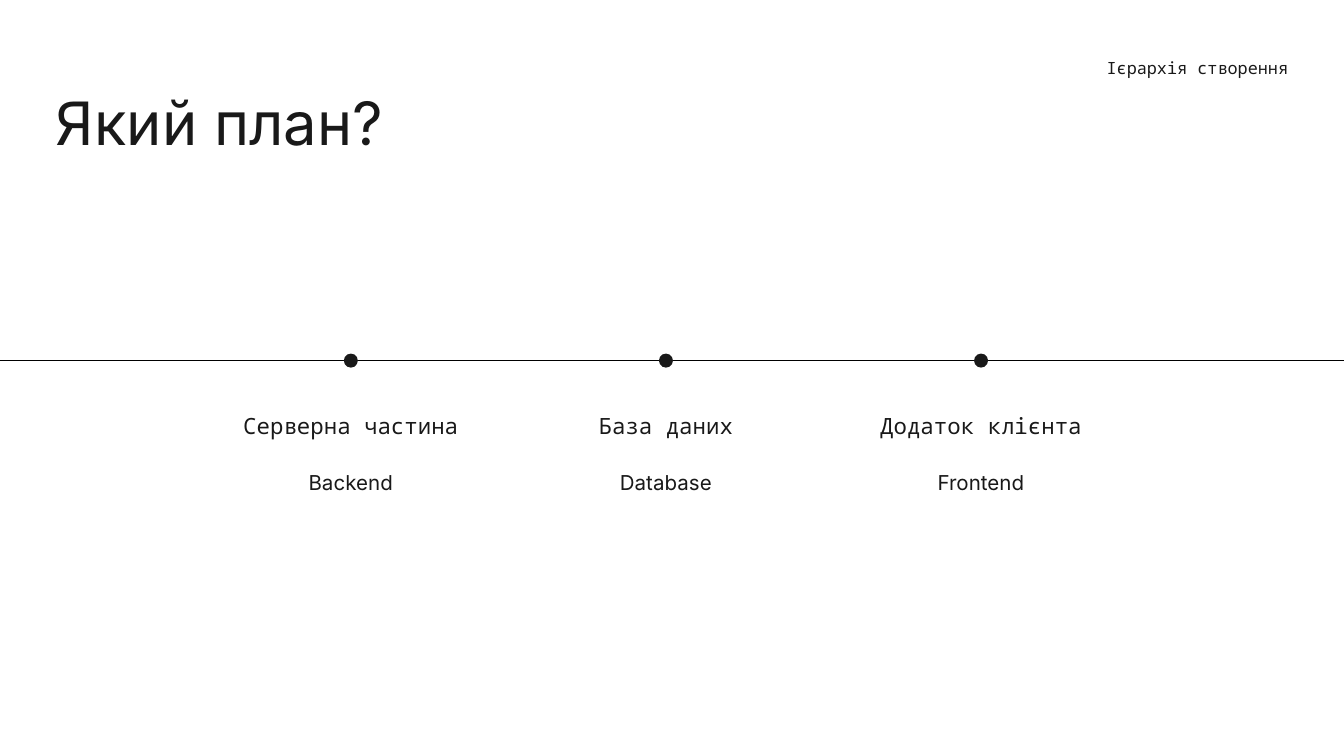
import pptx
import pptx.util
import pptx.dml.color
import pptx.enum.shapes
import pptx.enum.text
import pptx.oxml

Pt = pptx.util.Pt
Align = pptx.enum.text.PP_ALIGN
COLORS = {"ink": "191919", "line": "000000", "back": "FFFFFF"}
SANS, MONO = "Inter", "Noto Sans Mono"
STAGES = [
    ("Серверна частина", "Backend"),
    ("База даних", "Database"),
    ("Додаток клієнта", "Frontend"),
]


def color(name):
    return pptx.dml.color.RGBColor.from_string(COLORS[name])


def write(slide, text, box, size, font=SANS, align=Align.LEFT, space=1.0):
    """Place one line of text in box (left, top, width, height)."""
    frame = slide.shapes.add_textbox(*map(Pt, box)).text_frame
    frame.word_wrap = True
    frame.auto_size = pptx.enum.text.MSO_AUTO_SIZE.SHAPE_TO_FIT_TEXT
    frame.margin_left = frame.margin_right = 0
    frame.margin_top = frame.margin_bottom = 0
    para = frame.paragraphs[0]
    para.alignment = align
    para.line_spacing = space
    run = para.add_run()
    run.text = text
    run.font.size = Pt(size)
    run.font.name = font
    run.font.color.rgb = color("ink")


def header(slide, left, top, width):
    write(slide, "Який план?", (left, top + 15, 209, 39), 32)
    write(slide, "Ієрархія створення", (left + width - 98, top, 98, 11), 9,
          font=MONO, align=Align.RIGHT)


def axis(slide, left, top, width):
    line = slide.shapes.add_connector(
        pptx.enum.shapes.MSO_CONNECTOR.STRAIGHT,
        Pt(left), Pt(top), Pt(left + width), Pt(top))
    line.line.color.rgb = color("line")
    line.line.width = Pt(0.75)
    props = line._element.spPr
    props.append(pptx.oxml.parse_xml(
        '<a:effectLst xmlns:a='
        '"http://schemas.openxmlformats.org/drawingml/2006/main"/>'))


def stage(slide, left, top, width, title, note):
    """Place a dot centred on the axis at top, with its labels below."""
    size = 7.5
    dot = slide.shapes.add_shape(
        pptx.enum.shapes.MSO_SHAPE.OVAL,
        Pt(left + (width - size) / 2), Pt(top - size / 2), Pt(size), Pt(size))
    dot.shadow.inherit = False
    dot.fill.solid()
    dot.fill.fore_color.rgb = color("ink")
    dot.line.fill.background()
    write(slide, title, (left, top + 25, width, 17.3), 12,
          font=MONO, align=Align.CENTER, space=1.2)
    write(slide, note, (left, top + 56.8, width, 15.2), 11,
          align=Align.CENTER, space=1.15)


def timeline(slide, left, top, width):
    axis(slide, left, top, width)
    first, step, wide = left + 121.7, 168.8, 132.5
    for i, (title, note) in enumerate(STAGES):
        stage(slide, first + i * step, top + 0.2, wide, title, note)


def main():
    deck = pptx.Presentation()
    deck.slide_width, deck.slide_height = Pt(720), Pt(405)
    slide = deck.slides.add_slide(deck.slide_layouts[6])
    slide.background.fill.solid()
    slide.background.fill.fore_color.rgb = color("back")
    timeline(slide, 0, 193, 720)
    header(slide, 30, 31, 660)
    deck.save("out.pptx")


if __name__ == "__main__":
    main()
